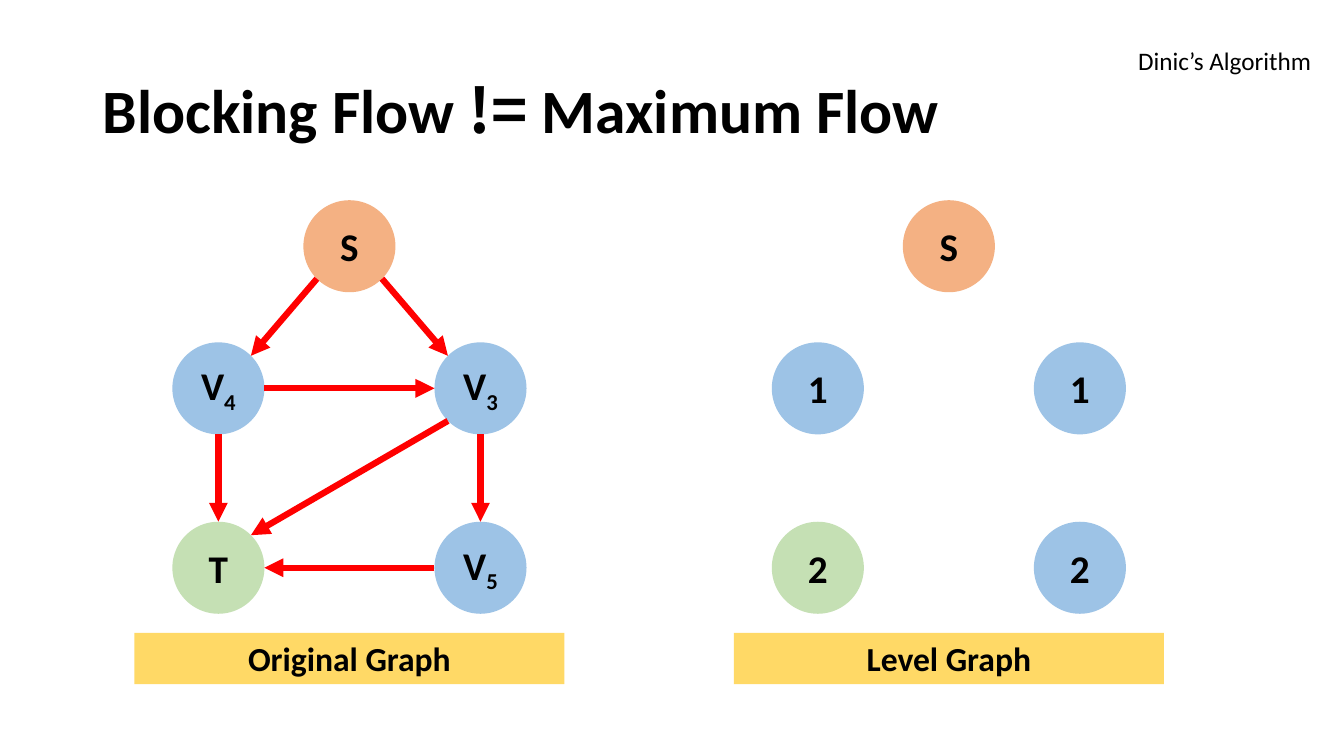
import math
from dataclasses import dataclass

import pptx
import pptx.dml.color
import pptx.enum.shapes
import pptx.enum.text
import pptx.oxml
import pptx.oxml.ns
import pptx.util

SLIDE_WIDTH = pptx.util.Inches(13.33)
SLIDE_HEIGHT = pptx.util.Inches(7.5)


@dataclass(frozen=True)
class Theme:
    font: str = "Calibri"
    symbol_font: str = "Noto Sans CJK SC"
    ink: str = "000000"
    source: str = "F4B183"
    vertex: str = "9DC3E6"
    sink: str = "C5E0B4"
    caption: str = "FFD966"
    edge: str = "FF0000"
    title_size: int = 44
    node_size: int = 28
    caption_size: int = 24
    tag_size: int = 18
    edge_width: float = 4.5


@dataclass(frozen=True)
class Box:
    left: int
    top: int
    width: int
    height: int

    @property
    def frame(self):
        return self.left, self.top, self.width, self.height


THEME = Theme()


def cols(count):
    return round(SLIDE_WIDTH * count / 100)


def rows(count):
    return round(SLIDE_HEIGHT * count / 100)


def grid_box(left, top, width, height):
    return Box(cols(left), rows(top), cols(width), rows(height))


NODE_DIAMETER = cols(6.85)
COLUMN_GAP = cols(9.75)
NODE_ROWS = [rows(6.07), rows(24.87), rows(48.6)]
CAPTION_HEIGHT = rows(6.8)

NODES = {
    "S": (0, 0, THEME.source),
    "V4": (-1, 1, THEME.vertex),
    "V3": (1, 1, THEME.vertex),
    "T": (-1, 2, THEME.sink),
    "V5": (1, 2, THEME.vertex),
}
EDGES = [("S", "V4"), ("S", "V3"), ("V3", "V5"), ("V4", "T"),
         ("V5", "T"), ("V3", "T"), ("V4", "V3")]
ORIGINAL_LABELS = {"S": ("S", ""), "V4": ("V", "4"), "V3": ("V", "3"),
                   "T": ("T", ""), "V5": ("V", "5")}
LEVEL_LABELS = {"S": ("S", ""), "V4": ("1", ""), "V3": ("1", ""),
                "T": ("2", ""), "V5": ("2", "")}


def color(code):
    return pptx.dml.color.RGBColor.from_string(code)


def add_span(para, text, size, bold=True, font=THEME.font):
    span = para.add_run()
    span.text = text
    span.font.name = font
    span.font.size = pptx.util.Pt(size)
    span.font.bold = bold
    span.font.color.rgb = color(THEME.ink)
    return span


def add_filled_shape(page, kind, box, fill):
    shape = page.shapes.add_shape(kind, *box.frame)
    shape.shadow.inherit = False
    shape.fill.solid()
    shape.fill.fore_color.rgb = color(fill)
    shape.line.fill.background()
    shape.text_frame.vertical_anchor = pptx.enum.text.MSO_ANCHOR.MIDDLE
    para = shape.text_frame.paragraphs[0]
    para.alignment = pptx.enum.text.PP_ALIGN.CENTER
    return para


def add_node(page, center, fill, label):
    x, y = center
    radius = NODE_DIAMETER // 2
    box = Box(x - radius, y - radius, NODE_DIAMETER, NODE_DIAMETER)
    para = add_filled_shape(page, pptx.enum.shapes.MSO_SHAPE.OVAL, box, fill)
    name, subscript = label
    add_span(para, name, THEME.node_size)
    if subscript:
        span = add_span(para, subscript, THEME.node_size)
        span.font._element.set("baseline", "-25000")


def add_edge(page, start, end):
    across, down = [(b > a) - (b < a) for a, b in zip(start, end)]
    reach = NODE_DIAMETER / 2 / math.hypot(across, down)
    dx, dy = round(across * reach), round(down * reach)
    edge = page.shapes.add_connector(
        pptx.enum.shapes.MSO_CONNECTOR.STRAIGHT,
        start[0] + dx, start[1] + dy, end[0] - dx, end[1] - dy)
    edge.line.color.rgb = color(THEME.edge)
    edge.line.width = pptx.util.Pt(THEME.edge_width)
    head = pptx.oxml.parse_xml(
        f'<a:tailEnd {pptx.oxml.ns.nsdecls("a")} type="triangle"/>')
    edge.line._get_or_add_ln().append(head)
    effects = pptx.oxml.parse_xml(f'<a:effectLst {pptx.oxml.ns.nsdecls("a")}/>')
    edge._element.spPr.append(effects)


def add_graph(page, box, labels, edges, caption):
    middle = box.left + box.width // 2
    centers = {name: (middle + column * COLUMN_GAP, box.top + NODE_ROWS[level])
               for name, (column, level, _) in NODES.items()}
    for name, (_, _, fill) in NODES.items():
        add_node(page, centers[name], fill, labels[name])
    for start, end in edges:
        add_edge(page, centers[start], centers[end])
    strip = Box(box.left, box.top + box.height - CAPTION_HEIGHT,
                box.width, CAPTION_HEIGHT)
    para = add_filled_shape(page, pptx.enum.shapes.MSO_SHAPE.RECTANGLE,
                            strip, THEME.caption)
    add_span(para, caption, THEME.caption_size)


def add_title(page, box):
    title = page.shapes.title
    title.left, title.top, title.width, title.height = box.frame
    frame = title.text_frame
    frame.auto_size = pptx.enum.text.MSO_AUTO_SIZE.NONE
    frame.vertical_anchor = pptx.enum.text.MSO_ANCHOR.MIDDLE
    para = frame.paragraphs[0]
    para.alignment = pptx.enum.text.PP_ALIGN.LEFT
    para.line_spacing = 0.9
    add_span(para, "Blocking Flow ", THEME.title_size)
    add_span(para, "!=", THEME.title_size, font=THEME.symbol_font)
    add_span(para, " Maximum Flow", THEME.title_size)


def add_topic_tag(page, box):
    frame = page.shapes.add_textbox(*box.frame).text_frame
    frame.word_wrap = False
    frame.auto_size = pptx.enum.text.MSO_AUTO_SIZE.SHAPE_TO_FIT_TEXT
    add_span(frame.paragraphs[0], "Dinic’s Algorithm", THEME.tag_size, bold=False)


def main():
    deck = pptx.Presentation()
    deck.slide_width, deck.slide_height = SLIDE_WIDTH, SLIDE_HEIGHT
    page = deck.slides.add_slide(deck.slide_layouts.get_by_name("Title Only"))
    add_title(page, grid_box(6.9, 5.33, 86.25, 19.33))
    add_graph(page, grid_box(10, 26.5, 32, 64),
              ORIGINAL_LABELS, EDGES, "Original Graph")
    add_graph(page, grid_box(54.6, 26.5, 32, 64),
              LEVEL_LABELS, [], "Level Graph")
    add_topic_tag(page, grid_box(83.95, 5.33, 14.55, 5.33))
    deck.save("out.pptx")


if __name__ == "__main__":
    main()
